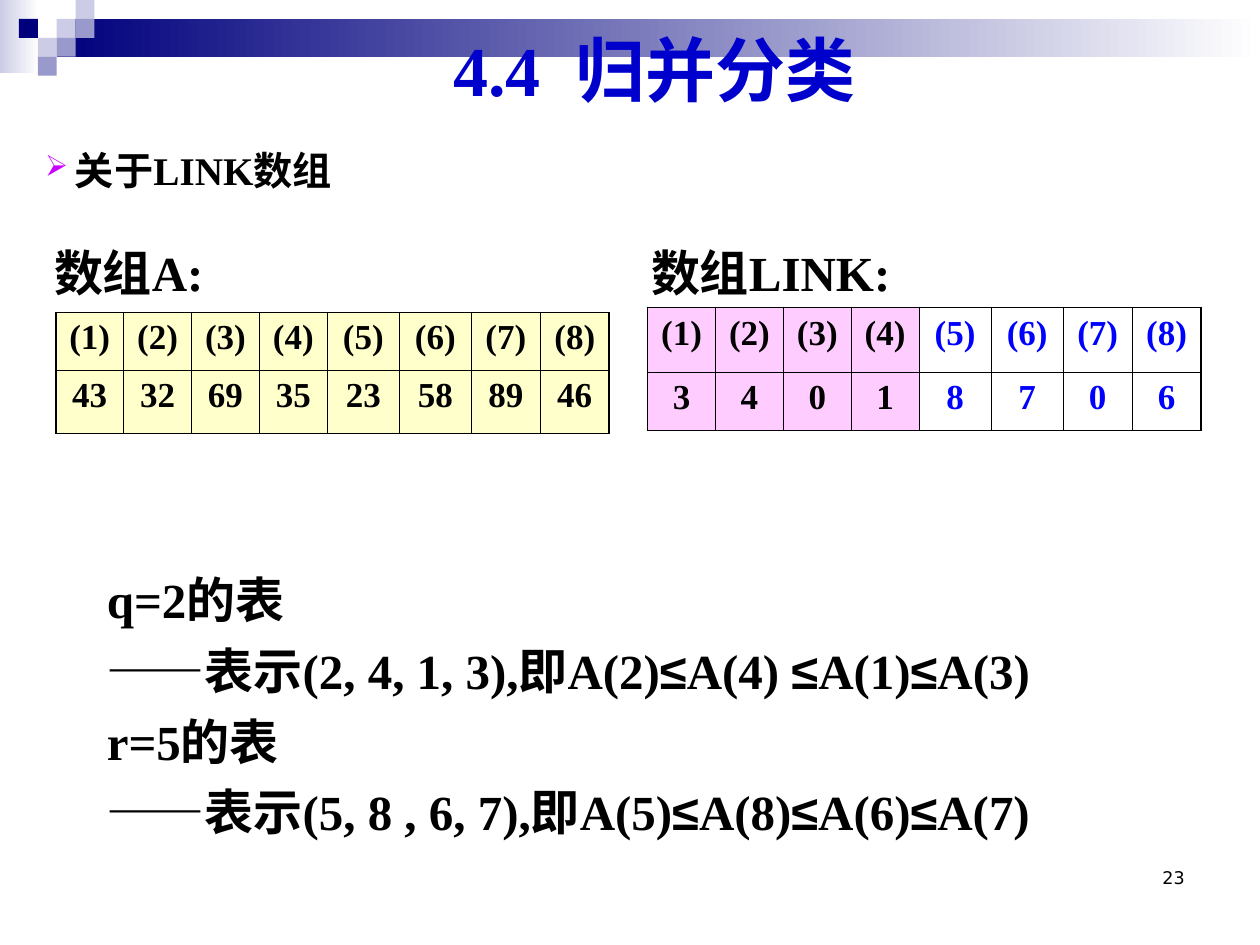
import itertools

import pptx
import pptx.dml.color
import pptx.enum.shapes
import pptx.enum.text
import pptx.oxml
import pptx.oxml.ns
import pptx.util

Pt = pptx.util.Pt
ALIGN = pptx.enum.text.PP_ALIGN
ANCHOR = pptx.enum.text.MSO_ANCHOR

COLORS = {
    "black": "000000", "white": "FFFFFF", "navy": "00007D", "lilac": "CCCCE6",
    "violet": "9999CC", "title": "0000CC", "blue": "0000FF", "bullet": "CC00FF",
    "yellow": "FFFFCC", "pink": "FFCCFF",
}
SERIF, SANS, NUMBER_FONT = "Times New Roman", "Arial", "DejaVu Sans"

TITLE = "4.4  归并分类"
TOPIC = "关于LINK数组"
PAGE_NUMBER = "23"
LISTS = [
    "q=2的表",
    "——表示(2, 4, 1, 3),即A(2)≤A(4) ≤A(1)≤A(3)",
    "r=5的表",
    "——表示(5, 8 , 6, 7),即A(5)≤A(8)≤A(6)≤A(7)",
]

INDEXES = [f"({number})" for number in range(1, 9)]
COLUMN_WIDTHS = [38.8] * 4 + [41.2] * 2 + [39.4] * 2
# Each style is (fill, font colour), one per column.
ARRAYS = [
    {"label": "数组LINK:", "label_box": (365, 141.8, 221, 34.5),
     "corner": (370.1, 175.7), "heights": (36.9, 33.4),
     "values": [3, 4, 0, 1, 8, 7, 0, 6],
     "styles": [("pink", "black")] * 4 + [(None, "blue")] * 4},
    {"label": "数组A:", "label_box": (23.8, 141.8, 113, 34.5),
     "corner": (31.9, 178.5), "heights": (33, 36.2),
     "values": [43, 32, 69, 35, 23, 58, 89, 46],
     "styles": [("yellow", "black")] * 8},
]
THICK, THIN = 1.08, 0.45

TILE = 10.8
TILES = [  # column, row, colour
    (3, 1, "lilac"), (4, 0, "lilac"), (4, 1, "violet"), (2, 2, "lilac"),
    (1, 1, "navy"), (3, 2, "violet"), (2, 3, "violet"),
]


def rgb(name):
    return pptx.dml.color.RGBColor.from_string(COLORS[name])


def add_block(page, bounds, *colors):
    """Add a borderless rectangle, with a left-to-right gradient for two colours."""
    block = page.shapes.add_shape(
        pptx.enum.shapes.MSO_SHAPE.RECTANGLE, *map(Pt, bounds))
    block.shadow.inherit = False
    block.line.fill.background()
    if len(colors) == 1:
        block.fill.solid()
        block.fill.fore_color.rgb = rgb(colors[0])
        return
    block.fill.gradient()
    block.fill.gradient_angle = 0
    for position, (stop, color) in enumerate(zip(block.fill.gradient_stops, colors)):
        stop.position = position
        stop.color.rgb = rgb(color)


def write(para, text, size=28, color="black", bold=True, font=SERIF,
          align=ALIGN.LEFT, spacing=None):
    para.alignment = align
    if spacing:
        para.line_spacing = spacing
    for is_symbol, letters in itertools.groupby(text, lambda letter: letter == "≤"):
        span = para.add_run()
        span.text = "".join(letters)
        span.font.name = SANS if is_symbol else font
        span.font.size = Pt(size)
        span.font.bold = bold
        span.font.color.rgb = rgb(color)


def add_text(page, bounds, lines, anchor=ANCHOR.TOP, **style):
    box = page.shapes.add_textbox(*map(Pt, bounds))
    frame = box.text_frame
    frame.word_wrap = True
    frame.vertical_anchor = anchor
    for number, line in enumerate(lines):
        para = frame.add_paragraph() if number else frame.paragraphs[0]
        write(para, line, **style)
    return box


def add_bullet(para, symbol, color, percent, indent):
    props = para._p.get_or_add_pPr()
    props.set("marL", str(Pt(indent)))
    props.set("indent", str(-Pt(indent)))
    namespace = pptx.oxml.ns.nsdecls("a")
    for markup in (
        f'<a:buClr {namespace}><a:srgbClr val="{COLORS[color]}"/></a:buClr>',
        f'<a:buSzPct {namespace} val="{percent * 1000}"/>',
        f'<a:buChar {namespace} char="{symbol}"/>',
    ):
        props.append(pptx.oxml.parse_xml(markup))


def set_borders(cell, widths):
    """Put black borders on a cell; widths are left, right, top, bottom."""
    props = cell._tc.get_or_add_tcPr()
    for place, (side, width) in enumerate(zip("LRTB", widths)):
        props.insert(place, pptx.oxml.parse_xml(
            f'<a:ln{side} {pptx.oxml.ns.nsdecls("a")} w="{Pt(width)}">'
            f'<a:solidFill><a:srgbClr val="{COLORS["black"]}"/></a:solidFill>'
            f'</a:ln{side}>'))


def add_array(page, array):
    rows = [INDEXES, array["values"]]
    last = len(INDEXES) - 1
    size = (sum(COLUMN_WIDTHS), sum(array["heights"]))
    table = page.shapes.add_table(
        len(rows), len(INDEXES), *map(Pt, array["corner"] + size)).table
    table.first_row = table.horz_banding = False
    for column, width in zip(table.columns, COLUMN_WIDTHS):
        column.width = Pt(width)
    for r, (row, height) in enumerate(zip(rows, array["heights"])):
        table.rows[r].height = Pt(height)
        for c, (value, (fill, color)) in enumerate(zip(row, array["styles"])):
            cell = table.cell(r, c)
            if fill:
                cell.fill.solid()
                cell.fill.fore_color.rgb = rgb(fill)
            else:
                cell.fill.background()
            edges = (c == 0, c == last, r == 0, r == len(rows) - 1)
            set_borders(cell, [THICK if edge else THIN for edge in edges])
            write(cell.text_frame.paragraphs[0], str(value), size=20,
                  color=color, align=ALIGN.CENTER)
    add_text(page, array["label_box"], [array["label"]], spacing=0.8)


def main():
    deck = pptx.Presentation()
    deck.slide_width, deck.slide_height = Pt(720), Pt(540)
    page = deck.slides.add_slide(deck.slide_layouts[6])

    add_block(page, (0, 0, 22.3, 41.8), "lilac", "white")
    add_block(page, (3 * TILE, TILE, 720 - 3 * TILE, 2 * TILE), "navy", "white")
    for column, row, color in TILES:
        add_block(page, (column * TILE, row * TILE, TILE, TILE), color)

    add_text(page, (516, 492, 168, 36), [PAGE_NUMBER], size=10, bold=False,
             font=NUMBER_FONT, align=ALIGN.RIGHT)
    topic = add_text(page, (18.7, 77.8, 256.3, 36), [TOPIC], size=22.4,
                     anchor=ANCHOR.BOTTOM, spacing=0.8)
    add_bullet(topic.text_frame.paragraphs[0], "➢", "bullet", 75, 17)
    add_text(page, (54, 315.4, 644.4, 168.5), LISTS, spacing=1.2)
    for array in ARRAYS:
        add_array(page, array)
    add_text(page, (252, 21.6, 289.4, 46.8), [TITLE], size=40, color="title",
             anchor=ANCHOR.MIDDLE, spacing=0.7)

    deck.save("out.pptx")


if __name__ == "__main__":
    main()
